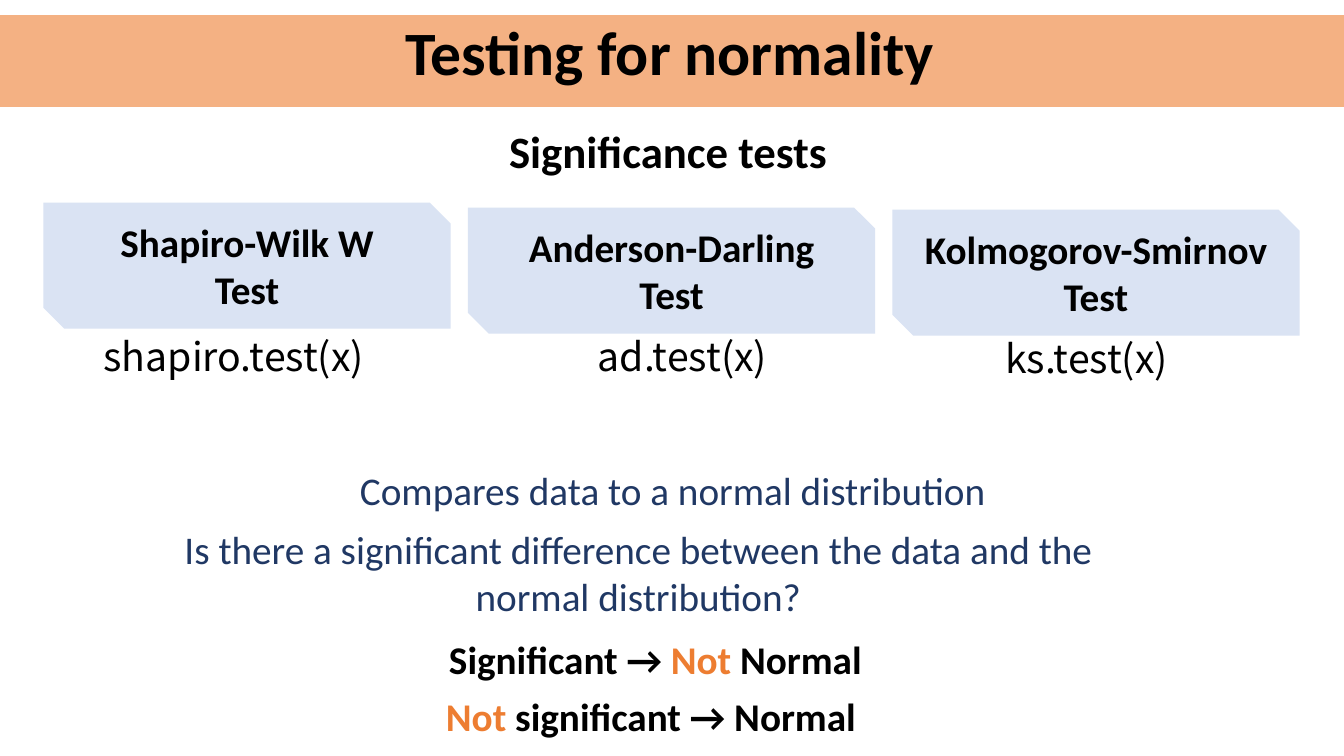
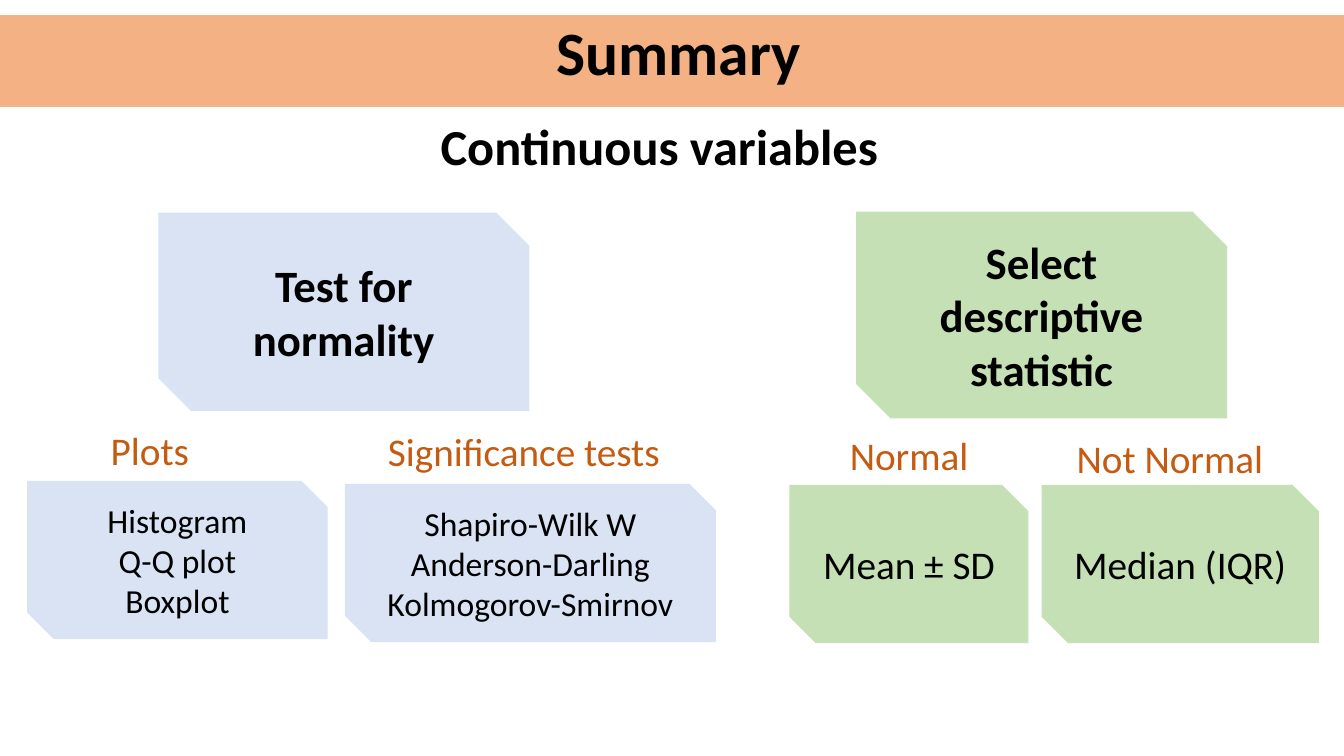
"""Build two slides on normality tests and the choice of descriptive statistics."""
from dataclasses import dataclass
from typing import Optional

from pptx import Presentation
from pptx.dml.color import RGBColor
from pptx.enum.shapes import MSO_SHAPE
from pptx.enum.text import MSO_ANCHOR, PP_ALIGN
from pptx.presentation import Presentation as Deck
from pptx.slide import Slide
from pptx.util import Emu, Pt

EMU_PER_PX = 9144
SLIDE_W, SLIDE_H = 1333, 750
BLANK_LAYOUT = 6

BLACK = RGBColor(0x00, 0x00, 0x00)
BAND = RGBColor(0xF4, 0xB1, 0x83)
BLUE = RGBColor(0xDA, 0xE3, 0xF3)
GREEN = RGBColor(0xC5, 0xE0, 0xB4)
NAVY = RGBColor(0x20, 0x38, 0x64)
ORANGE = RGBColor(0xED, 0x7D, 0x31)
RUST = RGBColor(0xC5, 0x5A, 0x11)

BODY_FONT = "Calibri"
CODE_FONT = "Noto Sans CJK SC"


@dataclass(frozen=True)
class Label:
    """A text box with one style and an optional coloured word."""

    x: int
    y: int
    w: int
    h: int
    text: str
    size: int = 28
    color: RGBColor = BLACK
    bold: bool = False
    align: PP_ALIGN = PP_ALIGN.LEFT
    font: str = BODY_FONT
    accent: str = ""
    anchor: MSO_ANCHOR = MSO_ANCHOR.TOP
    spacing: float = 1.0


@dataclass(frozen=True)
class Card:
    """A filled box with two snipped corners and centred text."""

    x: int
    y: int
    w: int
    h: int
    text: str
    fill: RGBColor
    size: int = 28
    bold: bool = False


def px(n: int) -> Emu:
    """Turn whole px into EMU."""
    return Emu(n * EMU_PER_PX)


def add_box(s: Slide, kind: MSO_SHAPE, x: int, y: int, w: int, h: int, fill: RGBColor):
    """Add a flat filled shape without an outline."""
    sp = s.shapes.add_shape(kind, px(x), px(y), px(w), px(h))
    sp.shadow.inherit = False
    sp.fill.solid()
    sp.fill.fore_color.rgb = fill
    sp.line.fill.background()
    return sp


def add_label(s: Slide, item: Label) -> None:
    """Draw a text box."""
    tf = s.shapes.add_textbox(px(item.x), px(item.y), px(item.w), px(item.h)).text_frame
    tf.word_wrap = True
    tf.vertical_anchor = item.anchor
    p = tf.paragraphs[0]
    p.alignment = item.align
    p.line_spacing = item.spacing
    parts = item.text.partition(item.accent) if item.accent else (item.text,)
    for part in filter(None, parts):
        r = p.add_run()
        r.text = part
        r.font.name = item.font
        r.font.size = Pt(item.size)
        r.font.bold = item.bold
        r.font.color.rgb = ORANGE if part == item.accent else item.color


def add_card(s: Slide, item: Card) -> None:
    """Draw a snipped card with its lines of text."""
    sp = add_box(s, MSO_SHAPE.SNIP_2_DIAG_RECTANGLE, item.x, item.y, item.w, item.h, item.fill)
    tf = sp.text_frame
    tf.text = item.text
    tf.word_wrap = True
    tf.vertical_anchor = MSO_ANCHOR.MIDDLE
    for p in tf.paragraphs:
        p.alignment = PP_ALIGN.CENTER
        p.font.name = BODY_FONT
        for r in p.runs:
            r.font.name = BODY_FONT
            r.font.size = Pt(item.size)
            r.font.bold = item.bold
            r.font.color.rgb = BLACK


def add_slide(prs: Deck, title: str, title_x: int, items: list[Label | Card]) -> None:
    """Add a slide with the shared band and title, then its items."""
    s = prs.slides.add_slide(prs.slide_layouts[BLANK_LAYOUT])
    add_box(s, MSO_SHAPE.RECTANGLE, 0, 15, SLIDE_W, 91, BAND)
    add_label(s, Label(title_x, -7, 575, 125, title, 44, bold=True,
                       anchor=MSO_ANCHOR.MIDDLE, spacing=0.9))
    for item in items:
        if isinstance(item, Card):
            add_card(s, item)
        else:
            add_label(s, item)


def centred(x: int, y: int, w: int, h: int, text: str, color: RGBColor = BLACK,
            size: int = 28, accent: Optional[str] = None) -> Label:
    """Make a centred label, bold when it is black."""
    return Label(x, y, w, h, text, size, color, color == BLACK, PP_ALIGN.CENTER,
                 accent=accent or "")


def main() -> None:
    """Build and save the slides."""
    prs = Presentation()
    prs.slide_width, prs.slide_height = px(SLIDE_W), px(SLIDE_H)

    tests = [("Shapiro-Wilk W", 201), ("Anderson-Darling", 206), ("Kolmogorov-Smirnov", 208)]
    calls = [("shapiro.test(x)", 93, 325, 315), ("ad.test(x)", 583, 325, 217),
             ("ks.test(x)", 987, 327, 217)]
    add_slide(prs, "Testing for normality", 392, [
        Label(495, 118, 492, 64, "Significance tests", 32, bold=True),
        *(Card(43 + 421 * i, y, 404, 125, f"{name}\nTest", BLUE, bold=True)
          for i, (name, y) in enumerate(tests)),
        *(Label(x, y, w, 57, text, font=CODE_FONT) for text, x, y, w in calls),
        centred(196, 458, 942, 57, "Compares data to a normal distribution", NAVY),
        centred(149, 516, 968, 104, "Is there a significant difference between the data "
                "and the normal distribution?", NAVY),
        centred(357, 625, 586, 57, "Significant → Not Normal", accent="Not"),
        centred(303, 682, 685, 57, "Not significant → Normal", accent="Not"),
    ])

    headings = [("Plots", 100, 418), ("Significance tests", 375, 419),
                ("Normal", 833, 423), ("Not Normal", 1058, 426)]
    add_slide(prs, "Summary", 542, [
        centred(183, 109, 942, 71, "Continuous variables", size=36),
        Card(157, 211, 368, 197, "Test for normality", BLUE, 32, True),
        Card(849, 210, 368, 205, "Select descriptive statistic", GREEN, 32, True),
        *(Label(x, y, 275 if x > 400 else 320, 57, text, color=RUST)
          for text, x, y in headings),
        Card(27, 477, 298, 157, "Histogram\nQ-Q plot\nBoxplot", BLUE, 24),
        Card(342, 480, 368, 157, "Shapiro-Wilk W\nAnderson-Darling\nKolmogorov-Smirnov",
             BLUE, 24),
        Card(783, 481, 237, 157, "Mean ± SD", GREEN),
        Card(1033, 481, 275, 157, "Median (IQR)", GREEN),
    ])
    prs.save("out.pptx")


if __name__ == "__main__":
    main()
